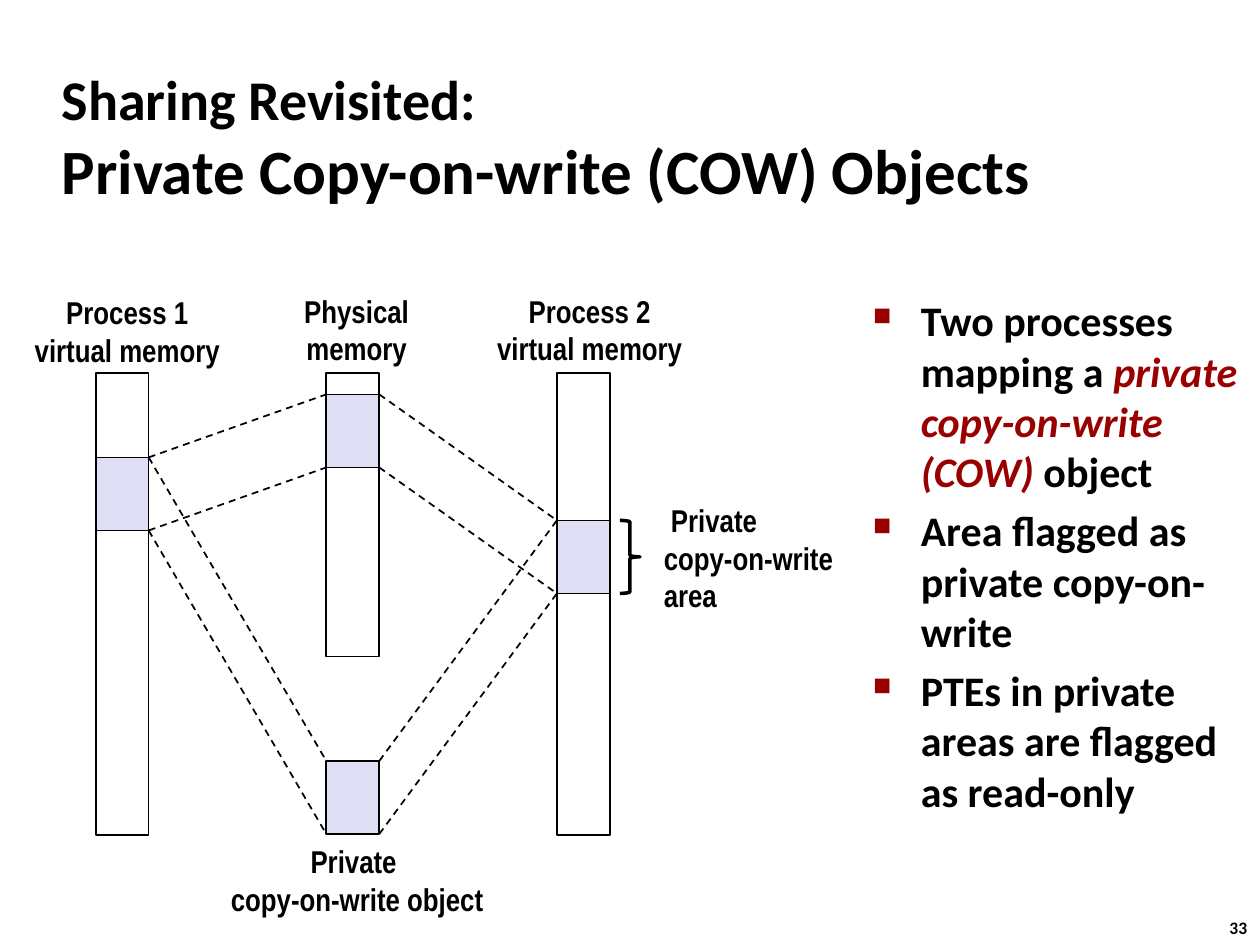
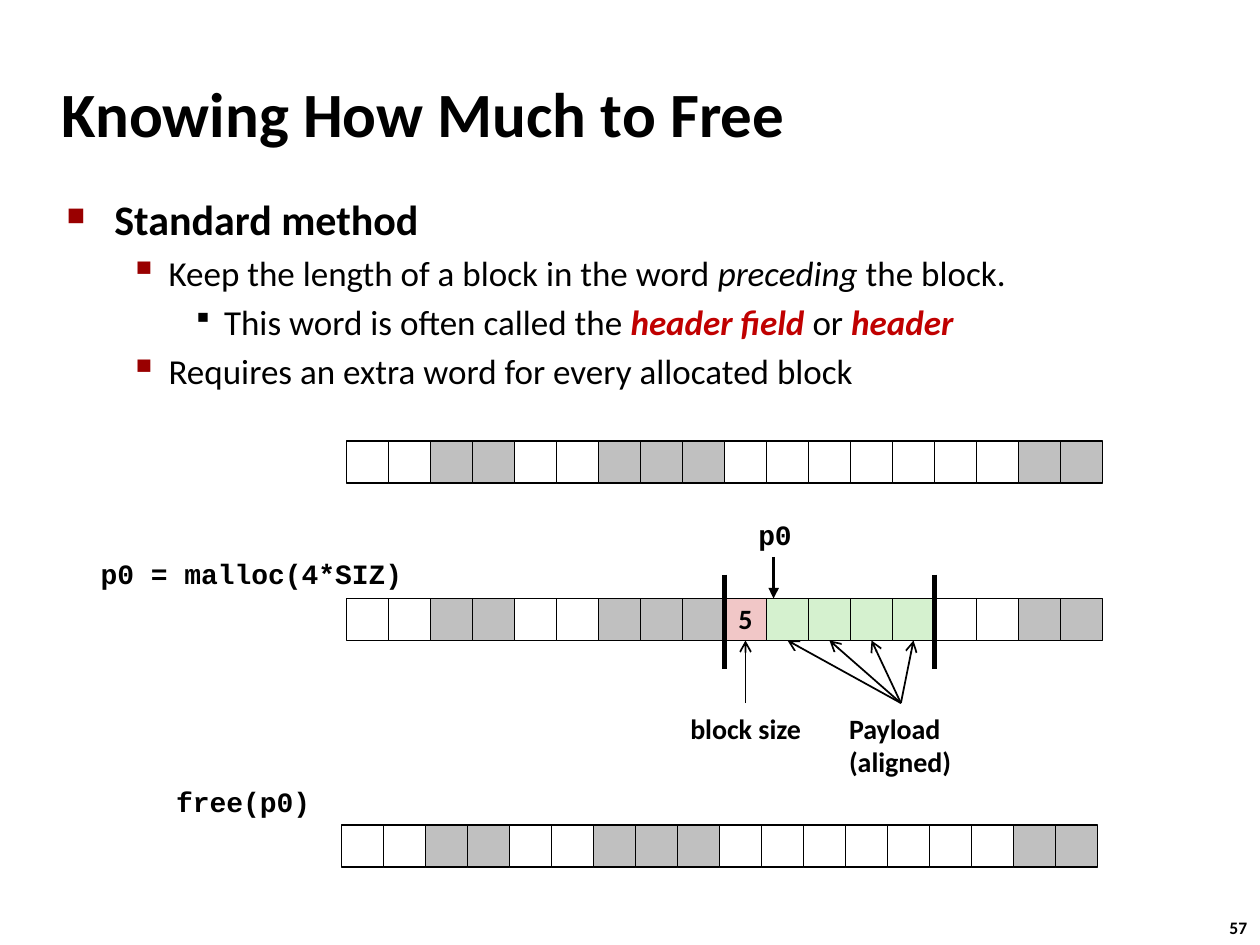
from lxml import etree
from pptx import Presentation
from pptx import util as u
from pptx.dml.color import RGBColor
from pptx.enum import dml, shapes, text
from pptx.oxml.ns import qn

COLORS = {
    "black": "000000", "white": "FFFFFF", "bullet": "990000", "term": "C00000",
    "area": "DEDFF5", "used": "C0C0C0", "header": "F1C7C7", "payload": "D5F1CF",
}

# Shared text formats
TITLE = {"name": "Calibri", "size": 36, "bold": True}
NUMBER = {"name": "Calibri", "size": 10, "bold": True}
POINT = {"name": "Calibri", "size": 24, "bold": True}
DETAIL = {"name": "Calibri", "size": 20, "bold": False}
MEMORY_LABEL = {"name": "Arial Narrow", "size": 18, "bold": True}
CODE = {"name": "Courier New", "size": 16, "bold": True}
NOTE = {"name": "Calibri", "size": 16, "bold": True}
EMPHASIS = {"italic": True}
COW_TERM = {"italic": True, "color": "bullet"}
HEADER_TERM = {"bold": True, "italic": True, "color": "term"}

# Bullet levels: text indent, hanging, character, size %, colour, format, space before
LEVELS = [
    (0.38, 0.38, "■", 60, "bullet", POINT, 4.8),
    (0.81, 0.31, "▪", 110, "bullet", DETAIL, 4),
    (1.25, 0.25, "▪", 80, "black", DETAIL, 4),
]

# Sharing slide: runs are (text, format changes)
SHARING_TITLE = [("Sharing Revisited: ", {"size": 32}), ("\n", {"size": 32}),
                 ("Private Copy-on-write (COW) Objects", {})]
SHARING_POINTS = [
    (0, [("Two processes mapping a ", {}), ("private copy-on-write (COW) ", COW_TERM),
         ("object", {})]),
    (0, [("Area flagged as private copy-on-write", {})]),
    (0, [("PTEs in private areas are flagged as read-only", {})]),
]
COLUMN_WIDTH, AREA_HEIGHT, MEMORY_TOP = 0.42, 0.58, 2.96
COLUMNS = {"process 1": 0.76, "physical": 2.59, "process 2": 4.42}
MEMORY_HEIGHTS = {"process 1": 3.67, "physical": 2.25, "process 2": 3.67}
AREAS = {  # column, top
    "object": ("physical", 6.04),
    "shared page": ("physical", 3.13),
    "area 1": ("process 1", 3.63),
    "area 2": ("process 2", 4.13),
}
MAPPINGS = [("area 1", "object"), ("object", "area 2"),
            ("area 1", "shared page"), ("shared page", "area 2")]
MEMORY_LABELS = [  # lines, box, centred
    (["Private ", "copy-on-write object"], (1.65, 6.63, 2.37, 0.71), True),
    (["Physical", "memory"], (2.29, 2.26, 1.08, 0.71), True),
    (["Process 1", "virtual memory"], (0.1, 2.27, 1.82, 0.71), True),
    (["Process 2", "virtual memory"], (3.77, 2.26, 1.82, 0.71), True),
    ([" Private", "copy-on-write", "area"], (5.17, 3.92, 1.66, 1.01), False),
]

# Free slide
FREE_TITLE = [("Knowing How Much to Free", {})]
FREE_POINTS = [
    (0, [("Standard method", {})]),
    (1, [("Keep the length of a block in the word ", {}), ("preceding", EMPHASIS),
         (" the block.", {})]),
    (2, [("This word is often called the ", {}), ("header field ", HEADER_TERM),
         ("or ", {}), ("header", HEADER_TERM)]),
    (1, [("Requires an extra word for every allocated block", {})]),
]
CELL = 1 / 3
CELL_FILLS = {".": "white", "#": "used", "H": "header", "P": "payload"}
HEAP_ROWS = [  # left, top, words
    (2.75, 3.5, "..##..###.......##"),
    (2.75, 4.75, "..##..###HPPPP..##"),
    (2.71, 6.55, "..##..###.......##"),
]
HEAP_LABELS = [  # runs, box, format, line spacing
    ([("p0 = malloc(4*SIZ)", {})], (0.7, 4.39, 2.63, 0.36), CODE, 0.94),
    ([("p0", {})], (5.92, 4.08, 0.47, 0.35), CODE, 0.94),
    ([("free(p0)", {})], (1.3, 6.2, 1.28, 0.36), CODE, 0.94),
    ([("block size", {})], (5.38, 5.61, 1.09, 0.37), NOTE, 0.98),
    ([("Payload", {}), ("\n", {}), ("(aligned)", {})], (6.64, 5.61, 1.02, 0.63), NOTE, 0.98),
]


def inches(*lengths):
    return [u.Inches(length) for length in lengths]


def rgb(name):
    return RGBColor.from_string(COLORS[name])


def write_runs(paragraph, runs, base):
    for words, changes in runs:
        values = {"color": "black", **base, **changes}
        values["size"] = u.Pt(values["size"])
        color = values.pop("color")
        if words == "\n":
            paragraph.add_line_break()
            line_break = paragraph._p.findall(qn("a:br"))[-1]
            etree.SubElement(line_break, qn("a:rPr"), sz=str(values["size"].centipoints))
            continue
        run = paragraph.add_run()
        run.text = words
        for attribute, value in values.items():
            setattr(run.font, attribute, value)
        run.font.color.rgb = rgb(color)


def add_text(slide, box, paragraphs, base, wrap=False, middle=False, centred=False, spacing=None):
    frame = slide.shapes.add_textbox(*inches(*box)).text_frame
    frame.word_wrap = wrap
    if middle:
        frame.vertical_anchor = text.MSO_ANCHOR.MIDDLE
    for index, runs in enumerate(paragraphs):
        paragraph = frame.add_paragraph() if index else frame.paragraphs[0]
        if centred:
            paragraph.alignment = text.PP_ALIGN.CENTER
        paragraph.line_spacing = spacing
        write_runs(paragraph, runs, base)


def add_bullets(slide, box, points):
    frame = slide.shapes.add_textbox(*inches(*box)).text_frame
    frame.word_wrap = True
    for index, (level, runs) in enumerate(points):
        indent, hanging, character, size, color, base, before = LEVELS[level]
        paragraph = frame.add_paragraph() if index else frame.paragraphs[0]
        paragraph.level = level
        properties = paragraph._p.get_or_add_pPr()
        properties.set("marL", str(u.Inches(indent)))
        properties.set("indent", str(-u.Inches(hanging)))
        bullet_color = etree.SubElement(properties, qn("a:buClr"))
        etree.SubElement(bullet_color, qn("a:srgbClr"), val=COLORS[color])
        etree.SubElement(properties, qn("a:buSzPct"), val=str(size * 1000))
        etree.SubElement(properties, qn("a:buChar"), char=character)
        if index:
            paragraph.space_before = u.Pt(before)
        write_runs(paragraph, runs, base)


def add_preset(parent, preset, box, fill=None, weight=1):
    shape = parent.shapes.add_shape(preset, *inches(*box))
    shape.shadow.inherit = False
    if fill:
        shape.fill.solid()
        shape.fill.fore_color.rgb = rgb(fill)
    else:
        shape.fill.background()
    shape.line.color.rgb = rgb("black")
    shape.line.width = u.Pt(weight)
    return shape


def add_line(slide, start, end, weight=1, dashed=False, arrow=None):
    connector = slide.shapes.add_connector(
        shapes.MSO_CONNECTOR.STRAIGHT, *inches(*start, *end))
    connector.line.color.rgb = rgb("black")
    connector.line.width = u.Pt(weight)
    if dashed:
        connector.line.dash_style = dml.MSO_LINE.DASH
    properties = connector.element.spPr
    if arrow:
        etree.SubElement(properties.find(qn("a:ln")), qn("a:tailEnd"), type=arrow)
    etree.SubElement(properties, qn("a:effectLst"))


def add_slide(presentation, title_runs, title_height, number):
    slide = presentation.slides.add_slide(presentation.slide_layouts[5])
    title = slide.shapes.title
    title.left, title.top, title.width, title.height = inches(0.39, 0.48, 8.3, title_height)
    frame = title.text_frame
    frame.auto_size = text.MSO_AUTO_SIZE.NONE
    frame.vertical_anchor = text.MSO_ANCHOR.MIDDLE
    frame.paragraphs[0].alignment = text.PP_ALIGN.LEFT
    write_runs(frame.paragraphs[0], title_runs, TITLE)
    add_text(slide, (9.66, 7.23, 0.37, 0.27), [[(number, {})]], NUMBER)
    return slide


def build_sharing(presentation):
    slide = add_slide(presentation, SHARING_TITLE, 1.19, "33")
    add_bullets(slide, (6.83, 2.29, 3.17, 4.58), SHARING_POINTS)

    # Memories and the areas inside them
    rectangle = shapes.MSO_SHAPE.RECTANGLE
    for column, height in MEMORY_HEIGHTS.items():
        add_preset(slide, rectangle, (COLUMNS[column], MEMORY_TOP, COLUMN_WIDTH, height))
    for column, top in AREAS.values():
        add_preset(slide, rectangle, (COLUMNS[column], top, COLUMN_WIDTH, AREA_HEIGHT), "area")

    # Mappings join the top and bottom edges of two areas
    for left_area, right_area in MAPPINGS:
        left_column, left_top = AREAS[left_area]
        right_column, right_top = AREAS[right_area]
        for offset in (0, AREA_HEIGHT):
            add_line(slide, (COLUMNS[left_column] + COLUMN_WIDTH, left_top + offset),
                     (COLUMNS[right_column], right_top + offset), dashed=True)

    # Labels and brace
    for lines, box, centred in MEMORY_LABELS:
        add_text(slide, box, [[(line, {})] for line in lines], MEMORY_LABEL,
                 middle=True, centred=centred)
    add_preset(slide, shapes.MSO_SHAPE.RIGHT_BRACE,
               (4.92, AREAS["area 2"][1], 0.16, AREA_HEIGHT), weight=2)


def build_free(presentation):
    slide = add_slide(presentation, FREE_TITLE, 0.83, "57")
    add_bullets(slide, (0.43, 1.49, 8.64, 5.44), FREE_POINTS)

    # Heap rows
    for left, top, words in HEAP_ROWS:
        row = slide.shapes.add_group_shape()
        for index, word in enumerate(words):
            cell = add_preset(row, shapes.MSO_SHAPE.RECTANGLE,
                              (left + index * CELL, top, CELL, CELL), CELL_FILLS[word])
            if word == "H":
                cell.text_frame.word_wrap = False
                paragraph = cell.text_frame.paragraphs[0]
                paragraph.alignment = text.PP_ALIGN.CENTER
                paragraph.line_spacing = 0.98
                write_runs(paragraph, [("5", {})], NOTE)

    for runs, box, base, spacing in HEAP_LABELS:
        add_text(slide, box, [runs], base, spacing=spacing)

    # Block limits, pointer and arrows to the words of the allocated block
    left, top, words = HEAP_ROWS[1]
    header, payload_end = words.index("H"), words.rindex("P") + 1
    for edge in (header, payload_end):
        x = left + edge * CELL
        add_line(slide, (x, 4.56), (x, 5.31), weight=3)
    add_line(slide, (6.14, 4.42), (6.14, top), weight=2, arrow="triangle")
    for index in range(header, payload_end):
        center = left + (index + 0.5) * CELL
        start = center if index == header else 7.15
        add_line(slide, (start, 5.58), (center, top + CELL), arrow="arrow")


def main():
    presentation = Presentation()
    presentation.slide_width, presentation.slide_height = inches(10, 7.5)
    build_sharing(presentation)
    build_free(presentation)
    presentation.save("out.pptx")


if __name__ == "__main__":
    main()
